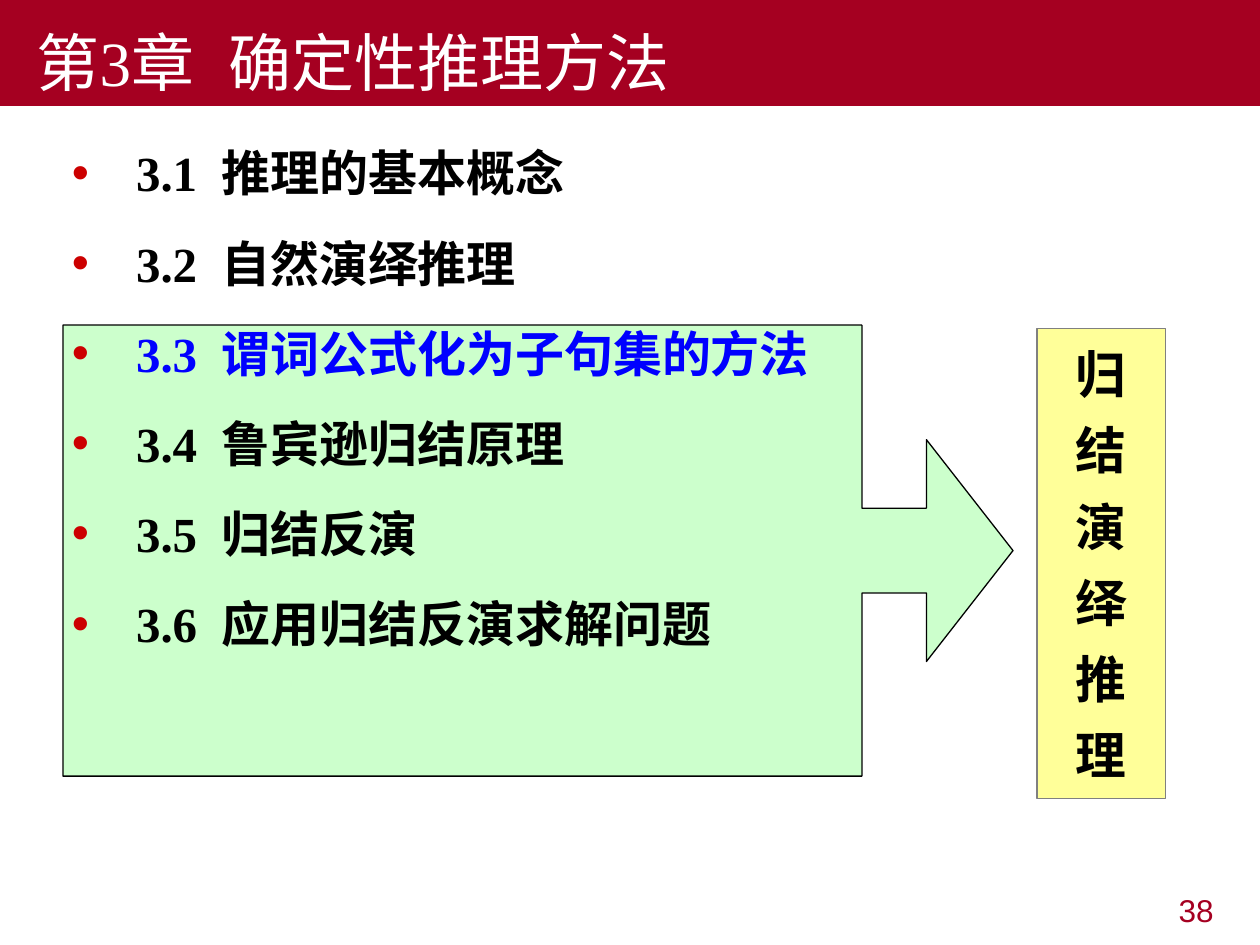
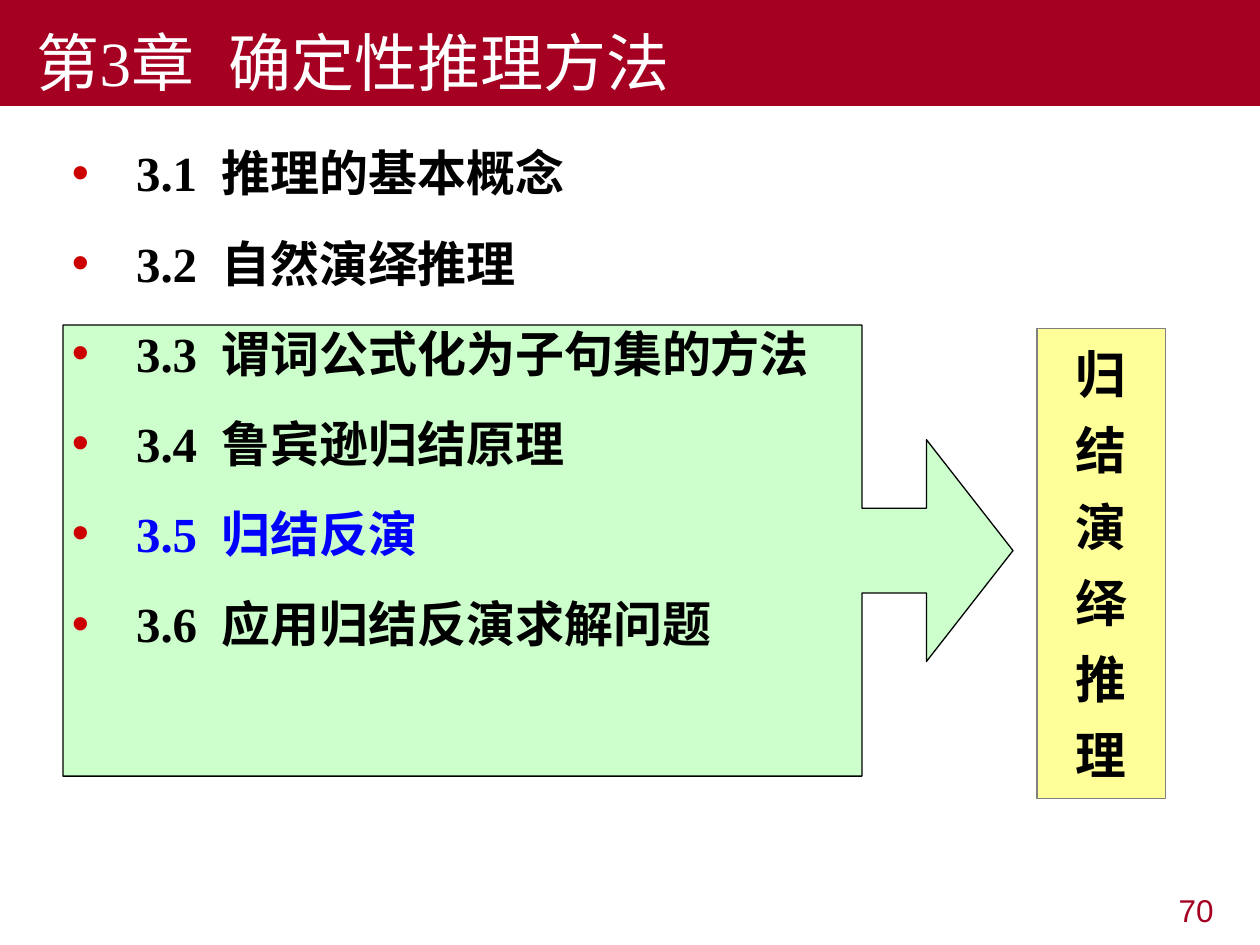
from lxml import etree
from pptx import Presentation
from pptx.dml.color import RGBColor
from pptx.enum.shapes import MSO_SHAPE as Preset
from pptx.enum.text import MSO_ANCHOR as Anchor, MSO_AUTO_SIZE as AutoSize, PP_ALIGN as Align
from pptx.oxml.ns import qn
from pptx.util import Inches, Pt

CRIMSON = RGBColor(0xA5, 0x00, 0x21)
BULLET_RED = RGBColor(0xCC, 0x00, 0x00)
CURRENT_BLUE = RGBColor(0x00, 0x00, 0xFF)
PALE_GREEN = RGBColor(0xCC, 0xFF, 0xCC)
PALE_YELLOW = RGBColor(0xFF, 0xFF, 0x99)
GREY = RGBColor(0x80, 0x80, 0x80)
BLACK = RGBColor(0x00, 0x00, 0x00)
WHITE = RGBColor(0xFF, 0xFF, 0xFF)
SERIF = "Times New Roman"
SANS = "Arial"

CHAPTER = "第3章  确定性推理方法"
SECTIONS = [
    "3.1  推理的基本概念",
    "3.2  自然演绎推理",
    "3.3  谓词公式化为子句集的方法",
    "3.4  鲁宾逊归结原理",
    "3.5  归结反演",
    "3.6  应用归结反演求解问题",
]
TOPIC = "归结演绎推理"
OUTLINES = [(38, "3.3"), (70, "3.5")]


def write(paragraph, text, *, size, font=SERIF, color=BLACK, bold=False,
          align=Align.LEFT, before=0, spacing=1.0, left=0, first=0, bullet=None):
    properties = paragraph._p.get_or_add_pPr()
    properties.set("marL", str(Inches(left)))
    properties.set("indent", str(Inches(first)))
    if bullet:
        bullet_color = etree.SubElement(properties, qn("a:buClr"))
        etree.SubElement(bullet_color, qn("a:srgbClr"), val=str(BULLET_RED))
        etree.SubElement(properties, qn("a:buFont"), typeface=SANS)
        etree.SubElement(properties, qn("a:buChar"), char=bullet)
    paragraph.alignment = align
    paragraph.space_before = Pt(before)
    paragraph.line_spacing = spacing
    run = paragraph.add_run()
    run.text = text
    run.font.size = Pt(size)
    run.font.bold = bold
    run.font.color.rgb = color
    run.font.name = font
    etree.SubElement(run._r.get_or_add_rPr(), qn("a:ea"), typeface=SANS)


class OutlineDeck:
    def __init__(self):
        self.deck = Presentation()
        self.deck.slide_width, self.deck.slide_height = Inches(10), Inches(7.5)
        self.slide = None

    def new_slide(self):
        self.slide = self.deck.slides.add_slide(self.deck.slide_layouts[1])

    def place(self, placeholder, left, top, width, height, anchor):
        self.slide.shapes._spTree.append(placeholder._element)
        placeholder.left, placeholder.top = Inches(left), Inches(top)
        placeholder.width, placeholder.height = Inches(width), Inches(height)
        frame = placeholder.text_frame
        frame.auto_size = AutoSize.NONE
        frame.vertical_anchor = anchor
        return frame

    def write_lines(self, frame, lines, *, before, colors=None, **style):
        for index, line in enumerate(lines):
            paragraph = frame.add_paragraph() if index else frame.paragraphs[0]
            write(paragraph, line, before=before if index else 0,
                  color=colors[index] if colors else BLACK, **style)

    def title(self, text):
        band = self.slide.shapes.title
        frame = self.place(band, 0, 0, 10, 0.84, Anchor.BOTTOM)
        band.fill.solid()
        band.fill.fore_color.rgb = CRIMSON
        write(frame.paragraphs[0], text, size=36, color=WHITE, first=0.19)

    def sections(self, current):
        frame = self.place(self.slide.placeholders[1], 0.47, 0.99, 9.45, 5.91, Anchor.TOP)
        colors = [CURRENT_BLUE if section.startswith(current) else BLACK
                  for section in SECTIONS]
        self.write_lines(frame, SECTIONS, before=11.2, colors=colors, size=28, bold=True,
                         spacing=1.2, left=0.51, first=-0.51, bullet="•")

    def shape(self, preset, left, top, width, height, fill, line):
        shape = self.slide.shapes.add_shape(
            preset, Inches(left), Inches(top), Inches(width), Inches(height))
        shape.shadow.inherit = False
        shape.fill.solid()
        shape.fill.fore_color.rgb = fill
        shape.line.color.rgb = line
        shape.line.width = Pt(0.75)
        return shape

    def callout(self):
        callout = self.shape(Preset.RIGHT_ARROW_CALLOUT, 0.5, 2.58, 7.54, 3.58,
                             PALE_GREEN, BLACK)
        for index, ratio in enumerate((0.188, 0.246, 0.192, 0.841)):
            callout.adjustments[index] = ratio

    def topic(self, text):
        frame = self.shape(Preset.RECTANGLE, 8.23, 2.61, 1.02, 3.73,
                           PALE_YELLOW, GREY).text_frame
        frame.word_wrap = True
        frame.vertical_anchor = Anchor.MIDDLE
        self.write_lines(frame, text, before=8.7, size=29, font=SANS, bold=True,
                         align=Align.CENTER)

    def page_number(self, number):
        frame = self.slide.shapes.add_textbox(
            Inches(7.4), Inches(7.02), Inches(2.33), Inches(0.52)).text_frame
        frame.word_wrap = True
        write(frame.paragraphs[0], str(number), size=18, font=SANS, color=CRIMSON,
              align=Align.RIGHT)


def main():
    outline = OutlineDeck()
    for number, current in OUTLINES:
        outline.new_slide()
        outline.page_number(number)
        outline.callout()
        outline.topic(TOPIC)
        outline.title(CHAPTER)
        outline.sections(current)
    outline.deck.save("out.pptx")


if __name__ == "__main__":
    main()
